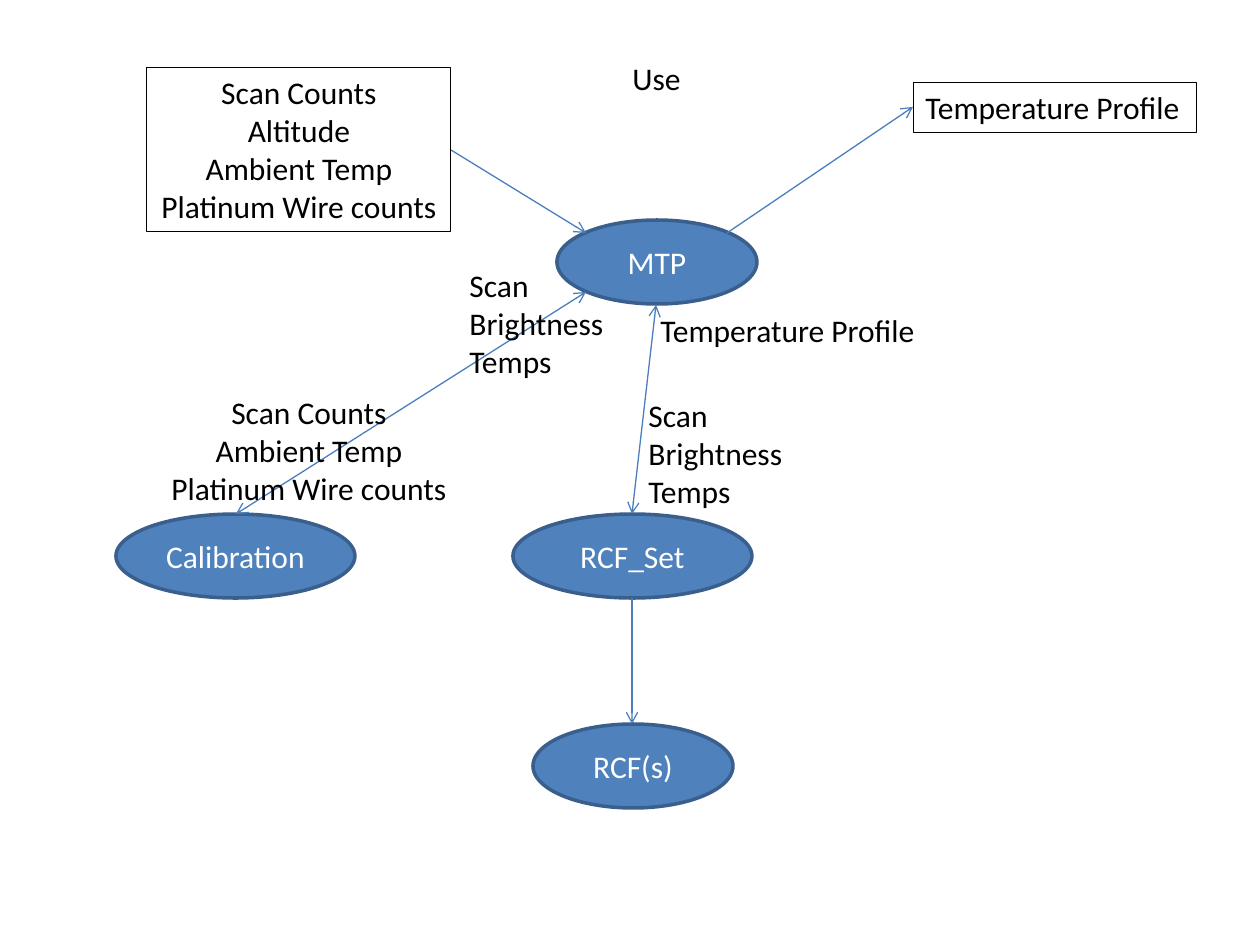
from pptx import Presentation
from pptx.dml.color import RGBColor
from pptx.enum.shapes import MSO_CONNECTOR, MSO_SHAPE
from pptx.enum.text import MSO_ANCHOR, MSO_AUTO_SIZE, PP_ALIGN
from pptx.oxml.ns import qn
from pptx.util import Emu, Pt
from lxml import etree

RECT, OVAL = MSO_SHAPE.RECTANGLE, MSO_SHAPE.OVAL
STRAIGHT = MSO_CONNECTOR.STRAIGHT
LEFT, CENTER = PP_ALIGN.LEFT, PP_ALIGN.CENTER
TOP, MIDDLE = MSO_ANCHOR.TOP, MSO_ANCHOR.MIDDLE
FIT = MSO_AUTO_SIZE.SHAPE_TO_FIT_TEXT

BLACK = RGBColor(0x00, 0x00, 0x00)
WHITE = RGBColor(0xFF, 0xFF, 0xFF)
BLUE = RGBColor(0x4F, 0x81, 0xBD)
DARK_BLUE = RGBColor(0x3A, 0x5F, 0x8C)
ARROW_BLUE = RGBColor(0x4B, 0x7E, 0xBC)

PX_PER_INCH = 126


def px(*lengths):
    return [Emu(round(n * 914400 / PX_PER_INCH)) for n in lengths]


def write(tf, text, color=BLACK, align=LEFT, anchor=TOP, wrap=False,
          font="Calibri", size=18):
    """Fill a text frame, one paragraph for each line of text."""
    tf.word_wrap = wrap
    tf.vertical_anchor = anchor
    tf.text = text
    for p in tf.paragraphs:
        p.alignment = align
        for r in p.runs:
            r.font.name = font
            r.font.size = Pt(size)
            r.font.color.rgb = color


class Diagram:
    def __init__(self, slide, arrow_width=0.75, oval_width=2, box_width=0.5):
        self.shapes = slide.shapes
        self.arrow_width = Pt(arrow_width)
        self.oval_width = Pt(oval_width)
        self.box_width = Pt(box_width)

    def node(self, text, x, y, w, h=84):
        sp = self.shapes.add_shape(OVAL, *px(x, y, w, h))
        sp.shadow.inherit = False
        sp.fill.solid()
        sp.fill.fore_color.rgb = BLUE
        sp.line.color.rgb = DARK_BLUE
        sp.line.width = self.oval_width
        write(sp.text_frame, text, color=WHITE, align=CENTER, anchor=MIDDLE,
              wrap=True)

    def box(self, text, x, y, w, h, **style):
        sp = self.shapes.add_shape(RECT, *px(x, y, w, h))
        sp.shadow.inherit = False
        sp.fill.background()
        sp.line.color.rgb = BLACK
        sp.line.width = self.box_width
        write(sp.text_frame, text, **style)
        sp.text_frame.auto_size = FIT

    def label(self, text, x, y, w, h, **style):
        sp = self.shapes.add_textbox(*px(x, y, w, h))
        write(sp.text_frame, text, **style)
        sp.text_frame.auto_size = FIT

    def arrow(self, start, end, both=False):
        line = self.shapes.add_connector(STRAIGHT, *px(*start, *end))
        line.line.color.rgb = ARROW_BLUE
        line.line.width = self.arrow_width
        ln = line.line._get_or_add_ln()
        for tag in ("a:headEnd", "a:tailEnd") if both else ("a:tailEnd",):
            etree.SubElement(ln, qn(tag), type="arrow")
        etree.SubElement(ln.getparent(), qn("a:effectLst"))


def main():
    prs = Presentation()
    prs.slide_width, prs.slide_height = px(1260, 945)
    d = Diagram(prs.slides.add_slide(prs.slide_layouts[6]))

    d.node("MTP", 557, 220, 200)
    d.node("Calibration", 116, 514, 239)
    d.node("RCF_Set", 513, 514, 239)
    d.node("RCF(s)", 533, 724, 200)

    d.arrow((451, 150), (586, 233))
    d.arrow((586, 292), (236, 514), both=True)
    d.arrow((656, 305), (632, 514), both=True)
    d.arrow((632, 598), (632, 724))
    d.arrow((727, 233), (913, 107))

    d.box("Scan Counts\nAltitude\nAmbient Temp\nPlatinum Wire counts",
          147, 67, 304, 165, align=CENTER)
    d.box("Temperature Profile", 913, 82, 283, 51)

    d.label("Use", 620, 53, 74, 51)
    d.label("Scan Counts\nAmbient Temp\nPlatinum Wire counts",
            157, 387, 304, 127, align=CENTER)
    d.label("Temperature Profile", 648, 305, 283, 51)
    for x, y in ((457, 260), (636, 390)):
        d.label("Scan Brightness\nTemps", x, y, 180, 127, wrap=True)

    prs.save("out.pptx")


if __name__ == "__main__":
    main()
